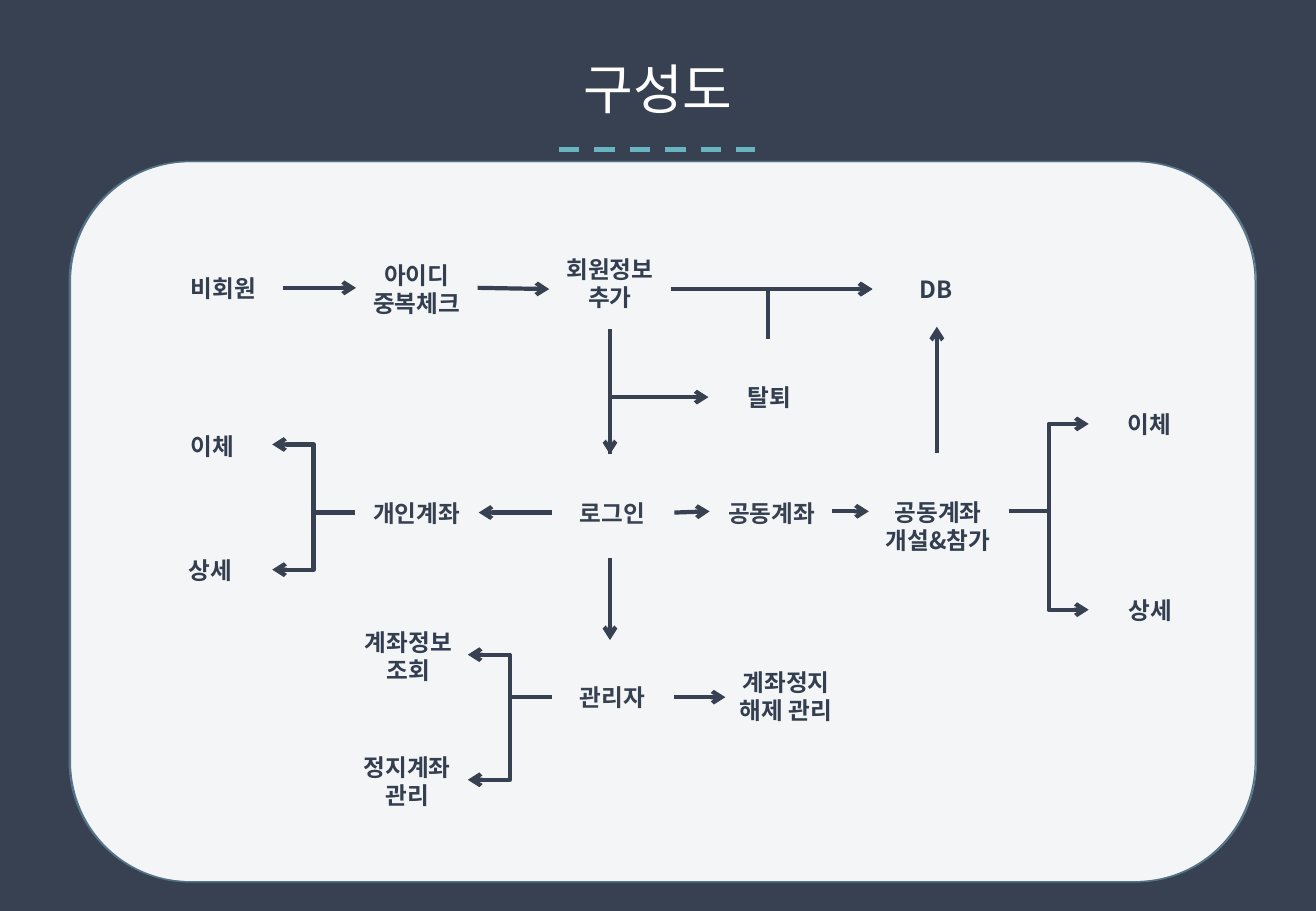
import pptx
import pptx.dml.color
import pptx.enum.dml
import pptx.enum.shapes
import pptx.enum.text
import pptx.oxml
import pptx.oxml.ns
import pptx.util
from pptx.util import Inches

FONT = "Noto Sans CJK KR"
COLORS = {
    "background": "384151",
    "white": "FFFFFF",
    "panel_line": "58788D",
    "panel_edge": "547286",
    "dashes": "6AB4C1",
    "label": "333F50",
    "arrow": "384151",
}

# Text, centre x, centre y
LABELS = [
    ("비회원", 1.84, 2.37),
    ("아이디 중복체크", 3.43, 2.38),
    ("회원정보추가", 5.02, 2.33),
    ("DB", 7.7, 2.38),
    ("탈퇴", 6.33, 3.27),
    ("이체", 1.75, 3.67),
    ("상세", 1.73, 4.69),
    ("이체", 9.46, 3.49),
    ("상세", 9.47, 5.02),
    ("계좌정보 조회", 3.36, 5.4),
    ("정지계좌 관리", 3.35, 6.43),
    ("계좌정지해제 관리", 6.47, 5.73),
]
ACCOUNT_LABELS = [
    ("개인계좌", 3.43, 4.22),
    ("로그인", 5.04, 4.22),
    ("공동계좌", 6.35, 4.22),
    ("관리자", 5.04, 5.74),
]

# Start x, start y, end x, end y
STRAIGHT_ARROWS = [
    (2.33, 2.37, 2.93, 2.37),
    (3.93, 2.37, 4.52, 2.38),
    (5.52, 2.38, 7.18, 2.38),
    (5.02, 2.71, 5.02, 3.74),
    (5.02, 4.59, 5.02, 5.27),
    (4.54, 4.22, 3.94, 4.22),
    (5.55, 4.22, 5.84, 4.21),
    (6.85, 4.21, 7.15, 4.21),
    (7.71, 3.73, 7.71, 2.69),
    (5.55, 5.74, 5.97, 5.74),
]
CORNER_ARROWS = [
    (5.02, 3.74, 5.83, 3.27),
    (6.32, 2.79, 7.18, 2.38),
]

# Start x, start y, end x, the two end heights
FORKS = [
    (2.92, 4.22, 2.24, (3.66, 4.69)),
    (8.3, 4.21, 8.96, (3.49, 5.02)),
    (4.54, 5.74, 3.85, (5.39, 6.42)),
]


def rgb(name):
    return pptx.dml.color.RGBColor.from_string(COLORS[name])


def add_element(parent, tag, **attributes):
    element = pptx.oxml.ns.qn(tag)
    child = parent.makeelement(element, attributes)
    parent.append(child)
    return child


def write_text(shape, text, size=14, color="label", bold=False, line_spacing=None):
    frame = shape.text_frame
    frame.word_wrap = True
    frame.auto_size = pptx.enum.text.MSO_AUTO_SIZE.NONE
    frame.vertical_anchor = pptx.enum.text.MSO_ANCHOR.MIDDLE
    frame.text = text
    for paragraph in frame.paragraphs:
        paragraph.alignment = pptx.enum.text.PP_ALIGN.CENTER
        paragraph.line_spacing = line_spacing
        for run in paragraph.runs:
            run.font.size = pptx.util.Pt(size)
            run.font.bold = bold
            run.font.color.rgb = rgb(color)
            run.font.name = FONT
            add_element(run.font._element, "a:ea", typeface=FONT)


def add_label(slide, text, center_x, center_y, width=1.02, height=0.57, color="label"):
    box = slide.shapes.add_textbox(
        Inches(center_x - width / 2), Inches(center_y - height / 2), Inches(width), Inches(height))
    write_text(box, text, color=color, bold=True)


def add_panel(slide, left, line_color, fill_color=None):
    panel = slide.shapes.add_shape(
        pptx.enum.shapes.MSO_SHAPE.ROUNDED_RECTANGLE,
        Inches(left), Inches(1.33), Inches(9.76), Inches(5.93))
    panel.shadow.inherit = False
    panel.line.color.rgb = rgb(line_color)
    panel.line.width = pptx.util.Pt(0.75)
    if fill_color is None:
        panel.fill.background()
        return
    panel.fill.solid()
    panel.fill.fore_color.rgb = rgb(fill_color)
    color = panel._element.spPr.find(".//" + pptx.oxml.ns.qn("a:srgbClr"))
    add_element(color, "a:alpha", val="95000")


def add_line(slide, points, color="arrow", width=2.5, elbow=False, arrow=True):
    kinds = pptx.enum.shapes.MSO_CONNECTOR
    connector = slide.shapes.add_connector(
        kinds.ELBOW if elbow else kinds.STRAIGHT, *[Inches(point) for point in points])
    connector.line.color.rgb = rgb(color)
    connector.line.width = pptx.util.Pt(width)
    if arrow:
        add_element(connector.line._get_or_add_ln(), "a:tailEnd", type="arrow")
    add_element(connector._element.spPr, "a:effectLst")
    return connector


def add_corner_arrow(slide, start_x, start_y, end_x, end_y):
    """Arrow that goes up and then right, as a quarter-turned one-bend connector."""
    center_x, center_y = (start_x + end_x) / 2, (start_y + end_y) / 2
    half_width, half_height = (start_y - end_y) / 2, (end_x - start_x) / 2
    points = (center_x + half_width, center_y + half_height,
              center_x - half_width, center_y - half_height)
    properties = add_line(slide, points, elbow=True)._element.spPr
    properties.find(pptx.oxml.ns.qn("a:prstGeom")).set("prst", "bentConnector2")
    properties.find(pptx.oxml.ns.qn("a:xfrm")).set("rot", "5400000")


def add_title(slide, text):
    title = slide.shapes.title
    title.left, title.top = Inches(0.81), Inches(0.19)
    title.width, title.height = Inches(9.21), Inches(1.14)
    write_text(title, text, size=32, color="white", line_spacing=0.9)


def main():
    presentation = pptx.Presentation()
    presentation.slide_width = Inches(10.83)
    presentation.slide_height = Inches(7.5)
    slide = presentation.slides.add_slide(presentation.slide_layouts[5])
    slide.background.fill.solid()
    slide.background.fill.fore_color.rgb = rgb("background")

    add_panel(slide, 0.58, "panel_line", fill_color="white")
    add_panel(slide, 0.57, "panel_edge")
    add_title(slide, "구성도")
    dashes = add_line(slide, (4.6, 1.23, 6.21, 1.23), color="dashes", width=3, arrow=False)
    dashes.line.dash_style = pptx.enum.dml.MSO_LINE.DASH

    for label in LABELS:
        add_label(slide, *label)
    for label in ACCOUNT_LABELS:
        add_label(slide, *label, color="arrow")
    add_label(slide, "공동계좌\n개설&참가", 7.72, 4.33, width=1.14, height=0.8)

    for points in STRAIGHT_ARROWS:
        add_line(slide, points)
    for points in CORNER_ARROWS:
        add_corner_arrow(slide, *points)
    for start_x, start_y, end_x, end_heights in FORKS:
        for end_y in end_heights:
            add_line(slide, (start_x, start_y, end_x, end_y), elbow=True)

    presentation.save("out.pptx")


if __name__ == "__main__":
    main()
